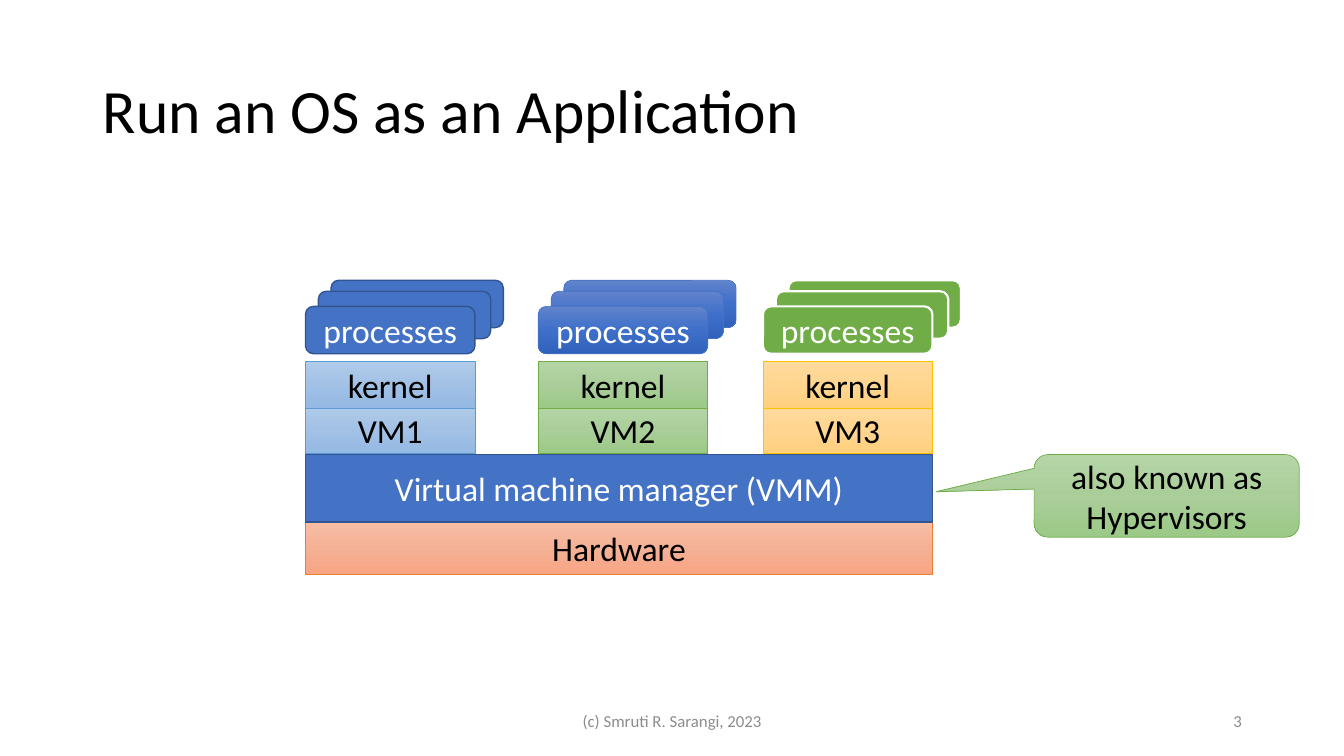
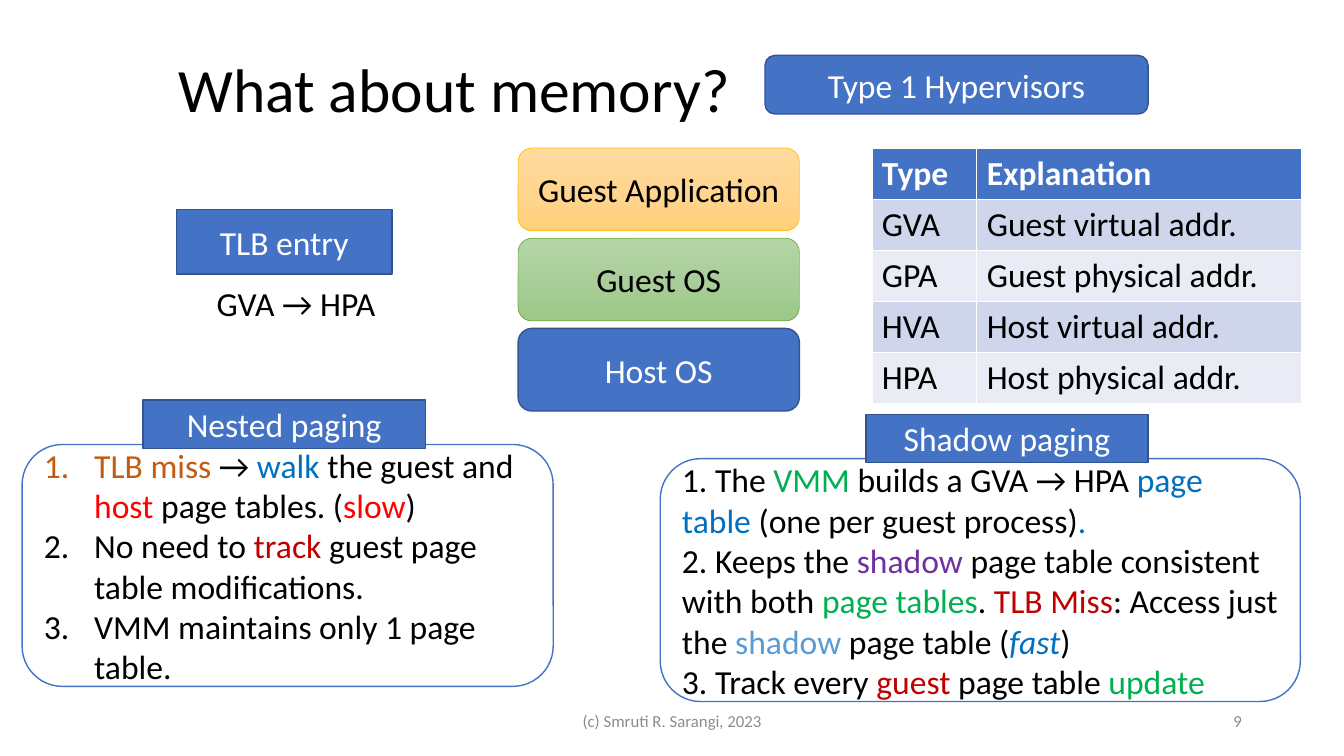
from copy import deepcopy

from pptx import Presentation
from pptx.dml.color import RGBColor
from pptx.enum.shapes import MSO_SHAPE
from pptx.enum.text import MSO_ANCHOR, PP_ALIGN
from pptx.oxml import parse_xml
from pptx.oxml.ns import nsdecls, qn
from pptx.util import Pt

FONT = "Calibri"
FOOTER = "(c) Smruti R. Sarangi, 2023"
COLORS = {
    "black": "000000", "white": "FFFFFF", "gray": "8C8C8C",
    "blue": "4472C4", "dark blue": "325491", "light blue": "5B9BD5",
    "text blue": "0070C0", "green": "70AD47", "text green": "00B050",
    "orange": "ED7D31", "rust": "C55A11", "gold": "FFC000",
    "red": "FF0000", "dark red": "C00000", "purple": "7030A0",
    "band dark": "CFD5EA", "band light": "E9EBF5",
}
GRADIENTS = {
    "soft orange": ("F7BDA5", "F5B196", "F8A582"),
    "soft blue": ("B1CBE9", "A3C1E5", "93B9E4"),
    "soft green": ("B5D5A7", "AACE9A", "9CC987"),
    "soft gold": ("FFDB9E", "FFD590", "FFD07C"),
    "deep blue": ("6183CB", "3E70CA", "3062BB"),
}
# Box style: fill, line colour, line width, text colour
STYLES = {
    "solid blue": ("blue", "dark blue", 1, "white"),
    "solid green": ("green", "white", 1.5, "white"),
    "deep blue": ("deep blue", "blue", 0.5, "white"),
    "soft orange": ("soft orange", "orange", 0.5, "black"),
    "soft blue": ("soft blue", "light blue", 0.5, "black"),
    "soft green": ("soft green", "green", 0.5, "black"),
    "soft gold": ("soft gold", "gold", 0.5, "black"),
    "panel": ("white", "blue", 1, "black"),
}

# Virtual machine: left, name, machine style, process style
MACHINES = [
    (218.2, "VM1", "soft blue", "solid blue"),
    (384.5, "VM2", "soft green", "deep blue"),
    (545, "VM3", "soft gold", "solid green"),
]
LAYERS = [
    ("Guest Application", "soft gold"),
    ("Guest OS", "soft green"),
    ("Host OS", "solid blue"),
]
ADDRESS_TYPES = [
    ("Type", "Explanation"),
    ("GVA", "Guest virtual addr."),
    ("GPA", "Guest physical addr."),
    ("HVA", "Host virtual addr."),
    ("HPA", "Host physical addr."),
]
# Plain strings are black; pairs carry a colour
NESTED_PAGING = [
    [("TLB miss ", "rust"), "→ ", ("walk", "text blue"), " the guest and ",
     ("host", "red"), " page tables. (", ("slow", "red"), ")"],
    ["No need to ", ("track", "dark red"), " guest page table modifications."],
    ["VMM maintains only 1 page table."],
]
SHADOW_PAGING = [
    ["1. The ", ("VMM", "text green"), " builds a GVA → HPA ",
     ("page table ", "text blue"), "(one per guest process)", (".", "text blue")],
    ["2. Keeps the ", ("shadow", "purple"), " page table consistent with both ",
     ("page tables", "text green"), ". ", ("TLB Miss", "dark red"),
     ": Access just the ", ("shadow", "light blue"), " page table (",
     ("fast", "text blue"), ")"],
    ["3. Track every ", ("guest", "dark red"), " page table ",
     ("update", "text green")],
]
ITALIC_WORDS = {"fast"}


def color(name):
    return RGBColor.from_string(COLORS[name])


def place(shape, box):
    shape.left, shape.top, shape.width, shape.height = map(Pt, box)


def format_paragraph(paragraph, size=24, text_color="black", align=PP_ALIGN.LEFT):
    paragraph.alignment = align
    paragraph.font.name = FONT
    paragraph.font.size = Pt(size)
    paragraph.font.color.rgb = color(text_color)


def fill_gradient(shape, stops):
    """Fill from top to bottom with three evenly spaced stops."""
    shape.fill.gradient()
    shape.fill.gradient_angle = 270
    stop_list = shape._element.spPr.find(".//" + qn("a:gsLst"))
    stop_list.insert(1, deepcopy(stop_list[0]))
    for index, (stop, value) in enumerate(zip(shape.fill.gradient_stops, stops)):
        stop.color.rgb = RGBColor.from_string(value)
        stop.position = index / 2


def add_box(slide, box, style, text="", kind=MSO_SHAPE.RECTANGLE):
    fill, line, width, text_color = STYLES[style]
    shape = slide.shapes.add_shape(kind, *map(Pt, box))
    shape.shadow.inherit = False
    if fill in GRADIENTS:
        fill_gradient(shape, GRADIENTS[fill])
    else:
        shape.fill.solid()
        shape.fill.fore_color.rgb = color(fill)
    shape.line.color.rgb = color(line)
    shape.line.width = Pt(width)
    if text:
        shape.text_frame.text = text
        format_paragraph(shape.text_frame.paragraphs[0], text_color=text_color,
                         align=PP_ALIGN.CENTER)
    return shape


def add_text(slide, box, text, anchor=MSO_ANCHOR.TOP, **formatting):
    frame = slide.shapes.add_textbox(*map(Pt, box)).text_frame
    frame.word_wrap = True
    frame.vertical_anchor = anchor
    frame.text = text
    format_paragraph(frame.paragraphs[0], **formatting)


def add_slide(presentation, title, title_box, number):
    """Add a slide with its title, footer and slide number."""
    slide = presentation.slides.add_slide(presentation.slide_layouts[5])
    place(slide.shapes.title, title_box)
    frame = slide.shapes.title.text_frame
    frame.text = title
    frame.vertical_anchor = MSO_ANCHOR.MIDDLE
    format_paragraph(frame.paragraphs[0], size=44)
    frame.paragraphs[0].line_spacing = 0.9
    for left, width, text, align in [
        (318.2, 324, FOOTER, PP_ALIGN.CENTER),
        (678.2, 216, str(number), PP_ALIGN.RIGHT),
    ]:
        add_text(slide, (left, 500.4, width, 28.8), text, MSO_ANCHOR.MIDDLE,
                 size=12, text_color="gray", align=align)
    return slide


def number_paragraph(paragraph):
    """Give the paragraph an automatic number with a hanging indent."""
    properties = paragraph._p.get_or_add_pPr()
    properties.set("marL", str(Pt(36)))
    properties.set("indent", str(-Pt(36)))
    properties.insert(0, parse_xml(
        f'<a:buAutoNum {nsdecls("a")} type="arabicPeriod"/>'))


def add_panel(slide, box, items, numbered=False):
    frame = add_box(slide, box, "panel", kind=MSO_SHAPE.ROUNDED_RECTANGLE).text_frame
    for index, parts in enumerate(items):
        paragraph = frame.add_paragraph() if index else frame.paragraphs[0]
        format_paragraph(paragraph)
        if numbered:
            number_paragraph(paragraph)
        for part in parts:
            text, text_color = (part, "black") if isinstance(part, str) else part
            run = paragraph.add_run()
            run.text = text
            run.font.color.rgb = color(text_color)
            if text in ITALIC_WORDS:
                run.font.italic = True


def add_address_table(slide):
    widths, row_height = (74.9, 231.8), 36.5
    table = slide.shapes.add_table(
        len(ADDRESS_TYPES), len(widths), Pt(622.8), Pt(105.8),
        Pt(sum(widths)), Pt(row_height * len(ADDRESS_TYPES))).table
    for column, width in zip(table.columns, widths):
        column.width = Pt(width)
    for row_index, texts in enumerate(ADDRESS_TYPES):
        table.rows[row_index].height = Pt(row_height)
        header = row_index == 0
        band = "blue" if header else ("band light", "band dark")[row_index % 2]
        for column_index, text in enumerate(texts):
            cell = table.cell(row_index, column_index)
            cell.text = text
            cell.fill.solid()
            cell.fill.fore_color.rgb = color(band)
            paragraph = cell.text_frame.paragraphs[0]
            format_paragraph(paragraph, text_color="white" if header else "black")
            paragraph.font.bold = header


def add_machine(slide, left, name, machine_style, process_style):
    """Add a virtual machine, its kernel and a stack of processes."""
    width, height = 121, 33.8
    for top, text in [(290.2, name), (257.8, "kernel")]:
        add_box(slide, (left, top, width, height), machine_style, text)
    for shift, top, extra, text in [(18.2, 200.2, 2.1, ""), (9.2, 208.1, 2.1, ""),
                                    (0, 218.9, 0, "processes")]:
        add_box(slide, (left + shift, top, width + extra, height), process_style,
                text, MSO_SHAPE.ROUNDED_RECTANGLE)


def build_application_slide(presentation):
    slide = add_slide(presentation, "Run an OS as an Application",
                      (66.2, 28.8, 828, 104.4), 3)
    add_box(slide, (218.2, 373, 447.8, 37.4), "soft orange", "Hardware")
    add_box(slide, (218.2, 324.7, 447.8, 48.2), "solid blue",
            "Virtual machine manager (VMM)")
    for machine in MACHINES:
        add_machine(slide, *machine)
    callout = add_box(slide, (738.7, 324.7, 189.4, 59), "soft green",
                      "also known as Hypervisors",
                      MSO_SHAPE.ROUNDED_RECTANGULAR_CALLOUT)
    callout.adjustments[0] = -0.87
    callout.adjustments[1] = -0.05


def build_memory_slide(presentation):
    slide = add_slide(presentation, "What about memory?",
                      (120.2, 13.7, 767.5, 104.4), 9)
    add_address_table(slide)
    for index, (text, style) in enumerate(LAYERS):
        add_box(slide, (370.1, 105.8 + 64.4 * index, 200.9, 59), style, text,
                MSO_SHAPE.ROUNDED_RECTANGLE)
    add_panel(slide, (15.8, 317.5, 379.4, 172.8), NESTED_PAGING, numbered=True)
    add_panel(slide, (471.6, 327.6, 457.2, 173.5), SHADOW_PAGING)
    for box, text in [
        ((102.2, 285.8, 201.6, 34.6), "Nested paging"),
        ((618.5, 295.9, 201.6, 34.6), "Shadow paging"),
        ((126, 149.8, 154.1, 46.1), "TLB entry"),
    ]:
        add_box(slide, box, "solid blue", text)
    add_text(slide, (147.6, 198.7, 133.2, 36), "GVA → HPA")
    add_box(slide, (546.5, 39.6, 273.6, 41.8), "solid blue", "Type 1 Hypervisors",
            MSO_SHAPE.ROUNDED_RECTANGLE)


def main():
    presentation = Presentation()
    presentation.slide_width, presentation.slide_height = Pt(960), Pt(540)
    build_application_slide(presentation)
    build_memory_slide(presentation)
    presentation.save("out.pptx")


if __name__ == "__main__":
    main()
